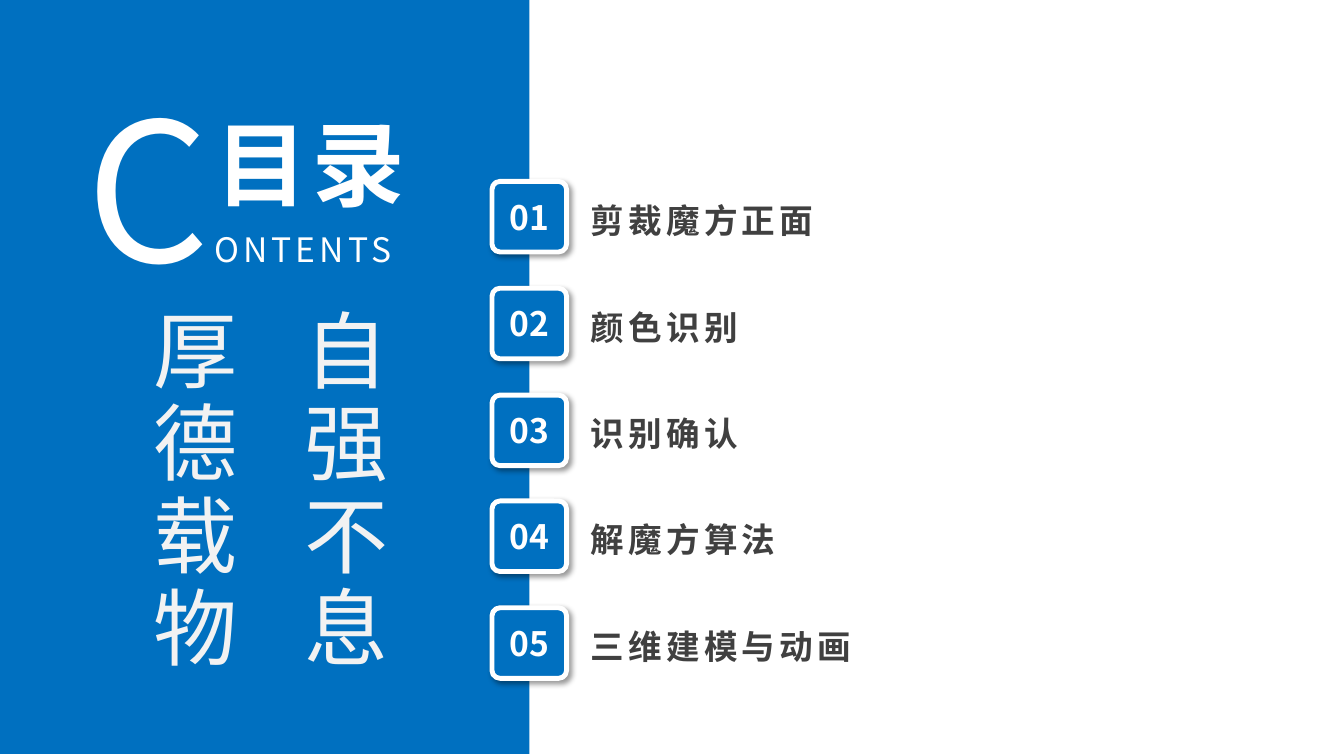
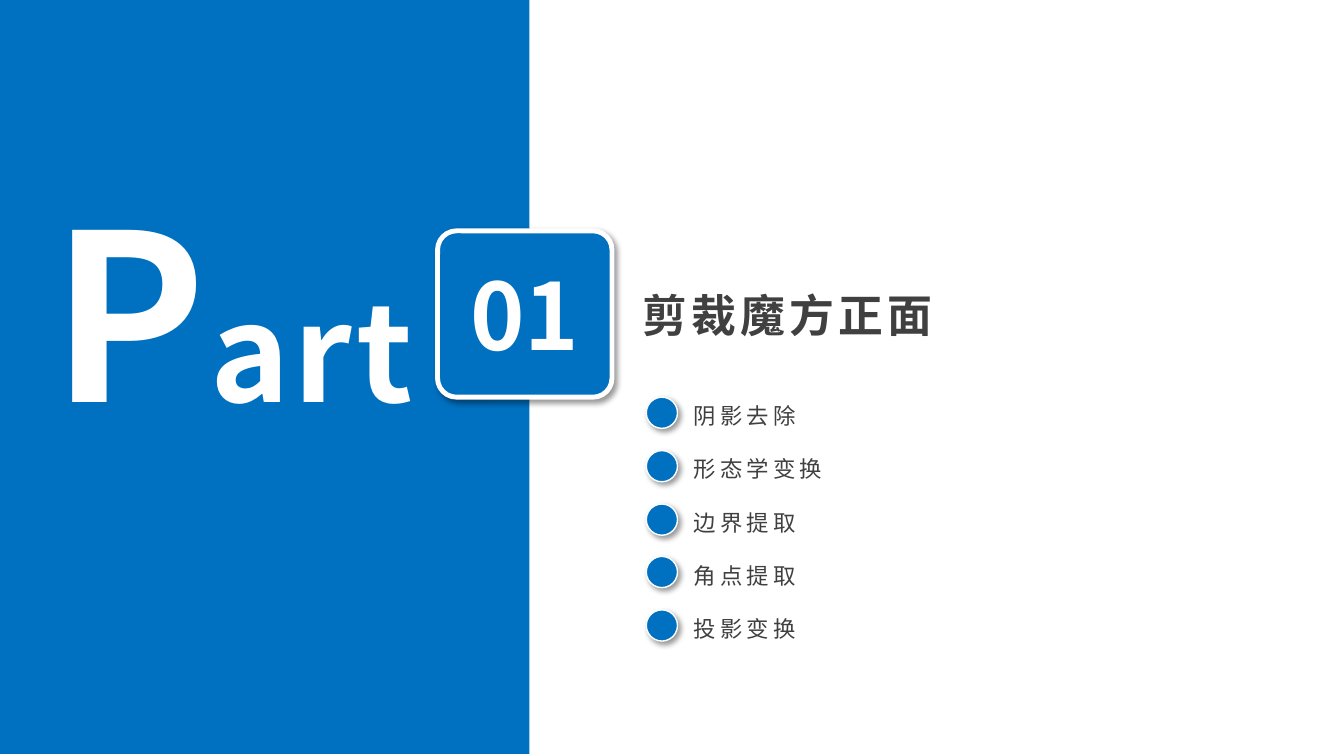
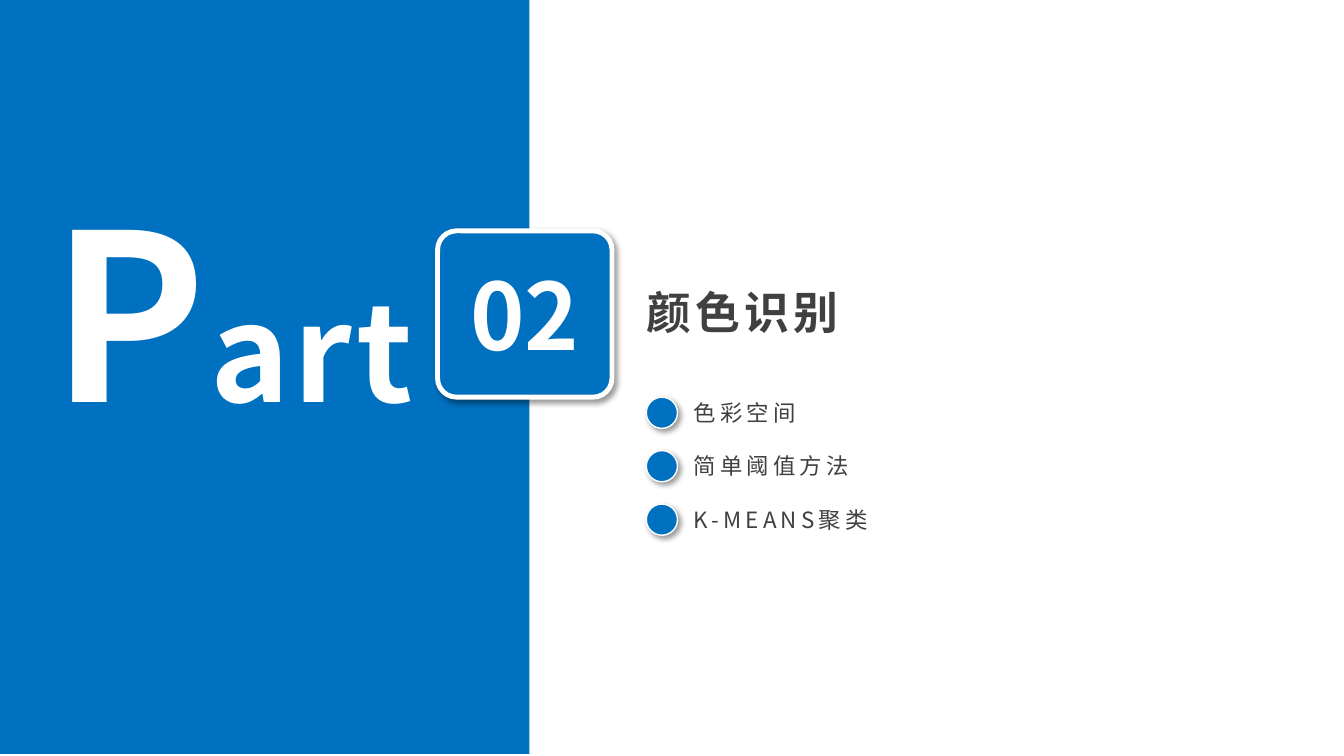
from typing import NamedTuple

from lxml.etree import SubElement
from pptx import Presentation
from pptx.dml.color import RGBColor
from pptx.enum.shapes import MSO_SHAPE as Preset
from pptx.enum.text import MSO_ANCHOR as Anchor, MSO_AUTO_SIZE as AutoSize, PP_ALIGN as Align
from pptx.oxml.ns import qn
from pptx.util import Emu, Pt

EMU_PER_PX = 9144
FONT = "Noto Sans CJK SC"
COLORS = {"blue": "0070C0", "white": "FFFFFF", "mist": "F2F2F2", "ink": "404040"}
BADGE_PITCH = 105.75
DOT_PITCH = 52.75


class Box(NamedTuple):
    left: int
    top: int
    width: int
    height: int


class Run(NamedTuple):
    text: str
    size: int


class Section(NamedTuple):
    number: str
    heading: str
    heading_box: Box
    topics: list[str]
    topics_box: Box


AGENDA = ["剪裁魔方正面", "颜色识别", "识别确认", "解魔方算法", "三维建模与动画"]
SECTIONS = [
    Section("01", AGENDA[0], Box(627, 280, 567, 64),
            ["阴影去除", "形态学变换", "边界提取", "角点提取", "投影变换"],
            Box(678, 368, 321, 275)),
    Section("02", AGENDA[1], Box(631, 277, 379, 64),
            ["色彩空间", "简单阈值方法", "K-MEANS聚类"],
            Box(678, 365, 321, 170)),
]


def px(value: int) -> Emu:
    return Emu(value * EMU_PER_PX)


def rgb(name: str) -> RGBColor:
    return RGBColor.from_string(COLORS[name])


def place(shape, box: Box) -> None:
    shape.left, shape.top, shape.width, shape.height = map(px, box)


def write(shape, lines: list[list[Run]], *, color: str = "white", bold: bool = False,
          align: Align = Align.LEFT, anchor: Anchor = Anchor.TOP, tracking: int = 0,
          spacing=1.0, wrap: bool = True, autosize: AutoSize = AutoSize.NONE) -> None:
    frame = shape.text_frame
    frame.word_wrap = wrap
    frame.auto_size = autosize
    frame.vertical_anchor = anchor
    for index, runs in enumerate(lines):
        paragraph = frame.add_paragraph() if index else frame.paragraphs[0]
        properties = paragraph._p.get_or_add_pPr()
        properties.set("marL", "0")
        properties.set("indent", "0")
        SubElement(properties, qn("a:buNone"))
        paragraph.alignment = align
        paragraph.line_spacing = spacing
        paragraph.space_before = Pt(0)
        for text, size in runs:
            run = paragraph.add_run()
            run.text = text
            font = run.font
            font.size, font.bold, font.name = Pt(size), bold, FONT
            font.color.rgb = rgb(color)
            run_properties = run._r.get_or_add_rPr()
            run_properties.set("spc", str(tracking * 100))
            SubElement(run_properties, qn("a:ea"), typeface=FONT)


def add_text(slide, box: Box, lines: list[list[Run]], **style):
    shape = slide.shapes.add_textbox(*map(px, box))
    write(shape, lines, autosize=AutoSize.SHAPE_TO_FIT_TEXT, **style)
    return shape


def add_block(slide, preset: Preset, box: Box, outline: float = 0):
    shape = slide.shapes.add_shape(preset, *map(px, box))
    shape.shadow.inherit = False
    shape.fill.solid()
    shape.fill.fore_color.rgb = rgb("blue")
    if not outline:
        shape.line.fill.background()
        return shape
    shape.line.color.rgb = rgb("white")
    shape.line.width = Pt(outline)
    effects = shape.element.spPr.find(qn("a:effectLst"))
    shadow = SubElement(effects, qn("a:outerShdw"), blurRad=str(Pt(4)), dist=str(Pt(3)),
                        dir="2700000", algn="tl", rotWithShape="0")
    tint = SubElement(shadow, qn("a:srgbClr"), val="000000")
    SubElement(tint, qn("a:alpha"), val="40000")
    return shape


def add_badge(slide, box: Box, number: str, size: int) -> None:
    badge = add_block(slide, Preset.ROUNDED_RECTANGLE, box, 3.5)
    badge.adjustments[0] = 0.114
    frame = badge.text_frame
    frame.margin_left = frame.margin_right = frame.margin_top = frame.margin_bottom = 0
    write(badge, [[Run(number, size)]], bold=True, align=Align.CENTER, anchor=Anchor.MIDDLE)


def add_page(presentation, title: Run, title_box: Box, title_color: str,
             items: list[str], items_box: Box, size: int, pitch: int, bold: bool):
    slide = presentation.slides.add_slide(presentation.slide_layouts[1])
    heading, body = slide.placeholders
    panel = add_block(slide, Preset.RECTANGLE, Box(0, -2, 525, 750))
    heading.element.addprevious(panel.element)
    place(heading, title_box)
    write(heading, [[title]], color=title_color, bold=True, tracking=3)
    place(body, items_box)
    write(body, [[Run(item, size)] for item in items], color="ink", bold=bold,
          tracking=3, spacing=Pt(pitch))
    return slide


def add_contents(presentation) -> None:
    slide = add_page(presentation, Run("目录", 66), Box(204, 101, 244, 121), "white",
                     AGENDA, Box(576, 128, 405, 545), 24, 76, True)
    add_text(slide, Box(76, 64, 368, 242), [[Run("C", 138), Run("ONTENTS", 24)]],
             align=Align.JUSTIFY, tracking=3)
    for index in range(len(AGENDA)):
        top = 180 + round(index * BADGE_PITCH)
        add_badge(slide, Box(488, top, 74, 70), f"{index + 1:02}", 24)
    motto = add_text(slide, Box(123, 296, 323, 411),
                     [[Run("自强不息", 60)], [Run("厚德载物", 60)]],
                     color="mist", align=Align.JUSTIFY, tracking=6, spacing=1.5, wrap=False)
    motto.text_frame._txBody.bodyPr.set("vert", "eaVert")


def add_section(presentation, section: Section) -> None:
    slide = add_page(presentation, Run(section.heading, 32), section.heading_box, "ink",
                     section.topics, section.topics_box, 16, 38, False)
    add_text(slide, Box(-83, 164, 627, 289), [[Run("P", 166), Run("art", 96)]],
             bold=True, align=Align.CENTER, tracking=3)
    add_badge(slide, Box(434, 229, 173, 165), section.number, 66)
    for index in range(len(section.topics)):
        top = 394 + round(index * DOT_PITCH)
        add_block(slide, Preset.OVAL, Box(641, top, 31, 31), 1)


def main() -> None:
    presentation = Presentation()
    presentation.slide_width, presentation.slide_height = px(1333), px(750)
    add_contents(presentation)
    for section in SECTIONS:
        add_section(presentation, section)
    presentation.save("out.pptx")


if __name__ == "__main__":
    main()
